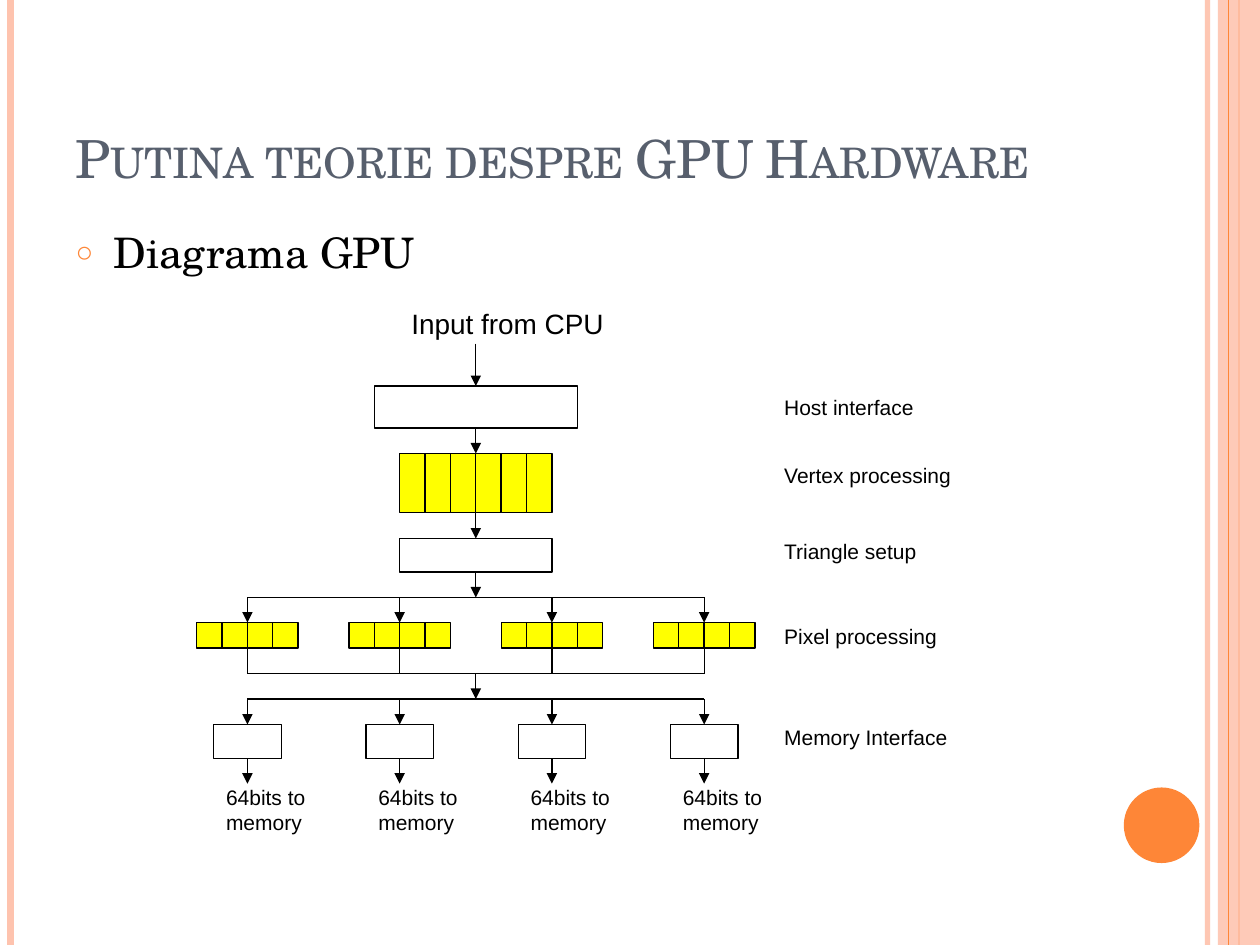
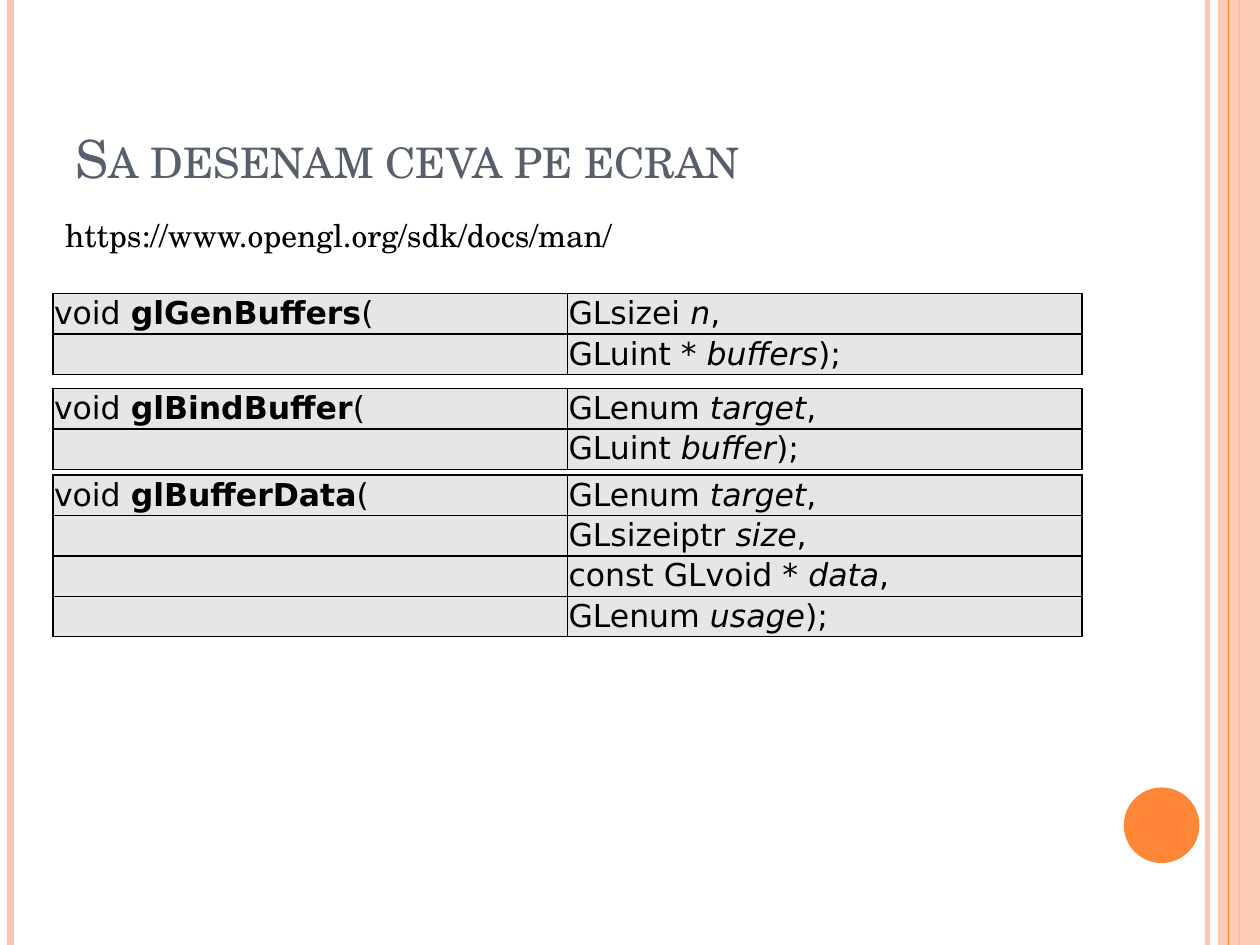
"""Builds two slides on GPU hardware and OpenGL buffer functions."""
from typing import NamedTuple, Optional

from lxml import etree
from pptx import Presentation
from pptx import slide as s
from pptx import util as u
from pptx.dml import color as c
from pptx.dml import fill as f
from pptx.enum import shapes, text
from pptx.oxml import ns
from pptx.shapes import autoshape, base
from pptx.text import text as t

WIDTH, HEIGHT = 720, 540
BLACK, WHITE, YELLOW, GREY = "000000", "FFFFFF", "FFFF00", "E6E6E6"
ORANGE, PEACH, SLATE = "FE8637", "FEC3AE", "575F6D"
SERIF, SANS, CODE = "TeX Gyre Schola", "Arial", "DejaVu Sans"

STEP = 14.5
LANE_GAP = 6 * STEP
LANES = [141.4 + LANE_GAP * index for index in range(4)]
CENTER = (LANES[0] + LANES[-1]) / 2
LABEL_LEFT = 441


class Box(NamedTuple):
    left: float
    top: float
    width: float
    height: float


class Rail(NamedTuple):
    x: float
    color: str
    weight: float
    opacity: int = 100


class Label(NamedTuple):
    words: str
    box: Box
    size: float = 12


class Parameter(NamedTuple):
    kind: str
    name: str


class Prototype(NamedTuple):
    name: str
    top: float
    row_height: float
    parameters: list[Parameter]


BACK_RAILS = [Rail(690, PEACH, 3, 93), Rail(6, PEACH, 4.5), Rail(708, ORANGE, 1.5)]
FRONT_RAIL = Rail(702, ORANGE, 0.75)
TITLE_BOX = Box(36, 21.6, 588, 90)
BODY_BOX = Box(36, 126, 588, 384)

LABELS = [
    Label("Input from CPU", Box(228, 177.4, 87, STEP), 16),
    *[
        Label(words, Box(LABEL_LEFT, top, 101.5, STEP))
        for words, top in [
            ("Host interface", 225.6),
            ("Vertex processing", 264.2),
            ("Triangle setup", 307.7),
            ("Pixel processing", 356),
            ("Memory Interface", 414),
        ]
    ],
    *[Label("64bits to\nmemory", Box(x - 19.3, 452.8, 38.7, 19.3)) for x in LANES],
]

PROTOTYPES = [
    Prototype("glGenBuffers", 167.8, 22.5, [
        Parameter("GLsizei", "n"), Parameter("GLuint *", "buffers")]),
    Prototype("glBindBuffer", 222, 23.1, [
        Parameter("GLenum", "target"), Parameter("GLuint", "buffer")]),
    Prototype("glBufferData", 271.5, 23.1, [
        Parameter("GLenum", "target"), Parameter("GLsizeiptr", "size"),
        Parameter("const GLvoid *", "data"), Parameter("GLenum", "usage")]),
]


def points(*lengths: float) -> list[u.Length]:
    return [u.Pt(length) for length in lengths]


def paint(fill: f.FillFormat, color: str) -> None:
    fill.solid()
    fill.fore_color.rgb = c.RGBColor.from_string(color)


def fade(shape: base.BaseShape, opacity: int) -> None:
    for color in shape._element.iter(ns.qn("a:srgbClr")):
        etree.SubElement(color, ns.qn("a:alpha"), val=str(opacity * 1000))


def style(span: t._Run, face: str, size: float, color: str = BLACK) -> None:
    span.font.name = face
    span.font.size = u.Pt(size)
    paint(span.font.fill, color)


def add_line(page: s.Slide, start: tuple[float, float], end: tuple[float, float],
             color: str = BLACK, weight: float = 0.75, arrow: bool = False,
             opacity: int = 100) -> None:
    line = page.shapes.add_connector(
        shapes.MSO_CONNECTOR.STRAIGHT, *points(*start, *end))
    line.line.width = u.Pt(weight)
    paint(line.line.fill, color)
    properties = line._element.spPr
    if arrow:
        etree.SubElement(properties.find(ns.qn("a:ln")), ns.qn("a:tailEnd"), type="triangle")
    etree.SubElement(properties, ns.qn("a:effectLst"))
    if opacity < 100:
        fade(line, opacity)


def add_drop(page: s.Slide, x: float, top: float, bottom: float, arrow: bool = True) -> None:
    add_line(page, (x, top), (x, bottom), arrow=arrow)


def add_box(page: s.Slide, box: Box, color: str = WHITE, outline: Optional[str] = BLACK,
            kind: shapes.MSO_SHAPE = shapes.MSO_SHAPE.RECTANGLE) -> autoshape.Shape:
    shape = page.shapes.add_shape(kind, *points(*box))
    shape.shadow.inherit = False
    paint(shape.fill, color)
    if outline:
        paint(shape.line.fill, outline)
        shape.line.width = u.Pt(0.75)
    else:
        shape.line.fill.background()
    return shape


def add_cells(page: s.Slide, x: float, top: float, height: float, count: int) -> None:
    left = x - count * STEP / 2
    for index in range(count):
        add_box(page, Box(left + index * STEP, top, STEP, height), YELLOW)


def add_label(page: s.Slide, label: Label) -> None:
    frame = add_box(page, label.box, outline=None).text_frame
    frame.text = label.words
    frame.word_wrap = False
    frame.vertical_anchor = text.MSO_ANCHOR.MIDDLE
    for para in frame.paragraphs:
        para.alignment = text.PP_ALIGN.LEFT
        style(para.runs[0], SANS, label.size)


def add_rail(page: s.Slide, rail: Rail) -> None:
    add_line(page, (rail.x, 0), (rail.x, HEIGHT), rail.color, rail.weight, opacity=rail.opacity)


def fill_placeholder(shape: base.BaseShape, box: Box, words: str) -> t._Paragraph:
    shape.left, shape.top, shape.width, shape.height = points(*box)
    frame = shape.text_frame
    frame.text = words
    frame.auto_size = text.MSO_AUTO_SIZE.NONE
    frame.word_wrap = True
    para = frame.paragraphs[0]
    para.alignment = text.PP_ALIGN.LEFT
    return para


def add_page(deck: Presentation, layout: int, title: str) -> s.Slide:
    page = deck.slides.add_slide(deck.slide_layouts[layout])
    for rail in BACK_RAILS:
        add_rail(page, rail)
    fade(add_box(page, Box(696, 0, 24, HEIGHT), PEACH, None), 87)
    add_rail(page, FRONT_RAIL)
    add_box(page, Box(642.2, 450, 43.2, 43.2), ORANGE, None, shapes.MSO_SHAPE.OVAL)
    heading = page.shapes.title
    span = fill_placeholder(heading, TITLE_BOX, title).runs[0]
    heading.text_frame.vertical_anchor = text.MSO_ANCHOR.BOTTOM
    style(span, SERIF, 30, SLATE)
    span.font._element.set("cap", "small")
    return page


def add_bullet(page: s.Slide, words: str) -> None:
    para = fill_placeholder(page.placeholders[1], BODY_BOX, words)
    para.space_before = u.Pt(6)
    style(para.runs[0], SERIF, 24)
    properties = para._p.get_or_add_pPr()
    indent = u.Pt(21.6)
    properties.set("marL", str(indent))
    properties.set("indent", str(-indent))
    color = etree.SubElement(properties, ns.qn("a:buClr"))
    etree.SubElement(color, ns.qn("a:srgbClr"), val=ORANGE)
    etree.SubElement(properties, ns.qn("a:buSzPct"), val="70000")
    etree.SubElement(properties, ns.qn("a:buFont"), typeface=SANS)
    etree.SubElement(properties, ns.qn("a:buChar"), char="○")


def add_pipeline(page: s.Slide) -> None:
    for x in LANES:
        add_cells(page, x, 355.8, STEP, 4)
        add_drop(page, x, 341.4, 355.8)
        add_drop(page, x, 370.3, 384.9, arrow=False)
        add_drop(page, x, 399.4, 414)
        add_box(page, Box(x - 19.3, 414, 38.7, 19.3))
        add_drop(page, x, 433.3, 447.8)
    for y in (341.4, 384.9, 399.4):
        add_line(page, (LANES[0], y), (LANES[-1], y))
    add_box(page, Box(CENTER - 58, 220.6, 116, 24))
    add_cells(page, CENTER, 259.1, 33.8, 6)
    add_box(page, Box(CENTER - 43.5, 307.7, 87, 19.2))
    for top, bottom in [(196.4, 220.6), (244.6, 259.1), (292.9, 307.7),
                        (326.9, 341.4), (384.9, 399.4)]:
        add_drop(page, CENTER, top, bottom)
    for label in LABELS:
        add_label(page, label)


def add_link(page: s.Slide, words: str) -> None:
    frame = page.shapes.add_textbox(*points(30.2, 120, 332, 29)).text_frame
    frame.text = words
    frame.word_wrap = False
    frame.auto_size = text.MSO_AUTO_SIZE.SHAPE_TO_FIT_TEXT
    style(frame.paragraphs[0].runs[0], SERIF, 18)


def fill_cell(cell: base.BaseShape, *parts: str, bold: bool = False) -> None:
    cell.margin_left = cell.margin_right = cell.margin_top = cell.margin_bottom = u.Pt(0.72)
    cell.vertical_anchor = text.MSO_ANCHOR.MIDDLE
    properties = cell._tc.get_or_add_tcPr()
    for side in ("lnL", "lnR", "lnT", "lnB"):
        border = etree.SubElement(properties, ns.qn(f"a:{side}"), w=str(u.Pt(1)))
        solid = etree.SubElement(border, ns.qn("a:solidFill"))
        etree.SubElement(solid, ns.qn("a:srgbClr"), val=BLACK)
    paint(cell.fill, GREY)
    para = cell.text_frame.paragraphs[0]
    for index, part in enumerate(parts):
        span = para.add_run()
        span.text = part
        style(span, CODE, 18)
        span.font.bold = bold and index == 1
        span.font.italic = not bold and index == 1
    if not parts:
        etree.SubElement(para._p, ns.qn("a:endParaRPr"), sz="1200")


def add_prototype(page: s.Slide, prototype: Prototype) -> None:
    count = len(prototype.parameters)
    box = Box(30.2, prototype.top, 588, count * prototype.row_height)
    table = page.shapes.add_table(count, 2, *points(*box)).table
    table.first_row = table.horz_banding = False
    for index, parameter in enumerate(prototype.parameters):
        table.rows[index].height = u.Pt(prototype.row_height)
        opening = () if index else ("void ", prototype.name, "(")
        ending = ");" if index == count - 1 else ","
        fill_cell(table.cell(index, 0), *opening, bold=True)
        fill_cell(table.cell(index, 1), f"{parameter.kind} ", parameter.name, ending)


def main() -> None:
    deck = Presentation()
    deck.slide_width, deck.slide_height = points(WIDTH, HEIGHT)

    diagram = add_page(deck, 1, "Putina teorie despre GPU Hardware")
    add_bullet(diagram, "Diagrama GPU")
    add_pipeline(diagram)

    functions = add_page(deck, 5, "Sa desenam ceva pe ecran")
    add_link(functions, "https://www.opengl.org/sdk/docs/man/")
    for prototype in PROTOTYPES:
        add_prototype(functions, prototype)

    deck.save("out.pptx")


if __name__ == "__main__":
    main()
